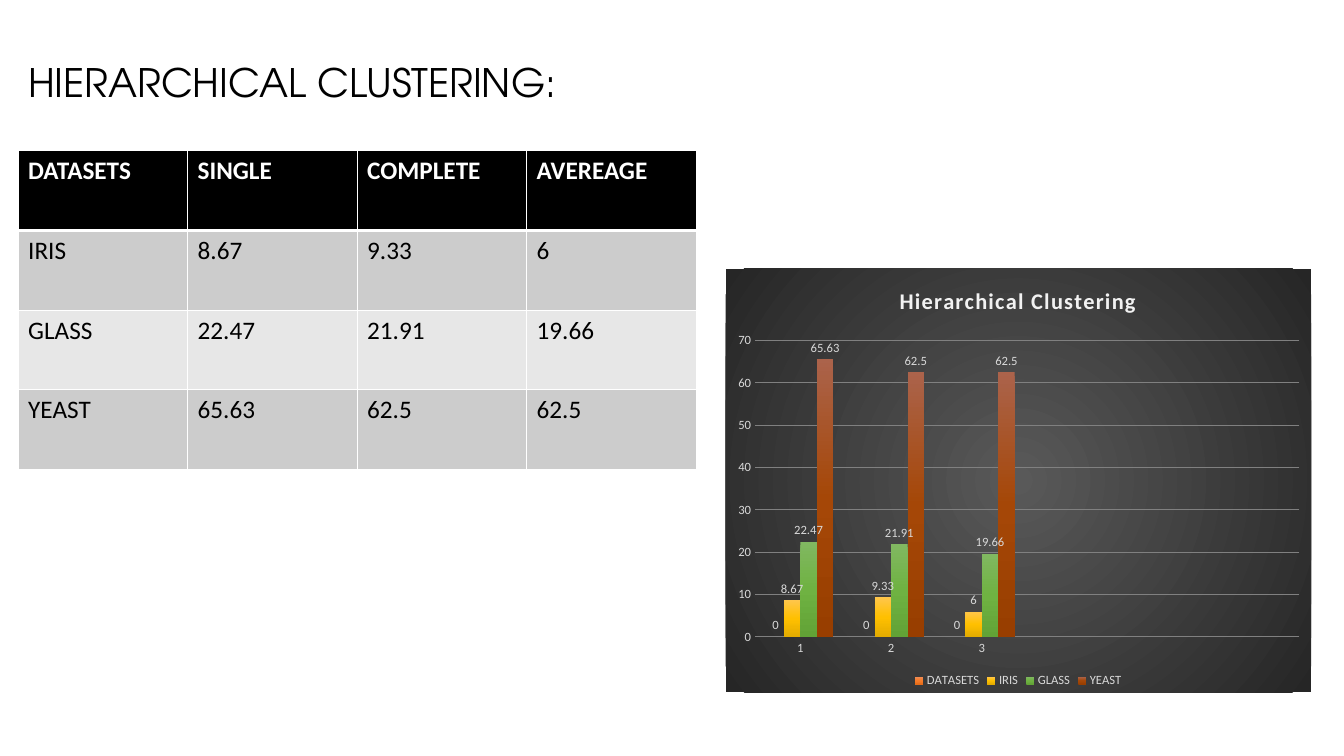
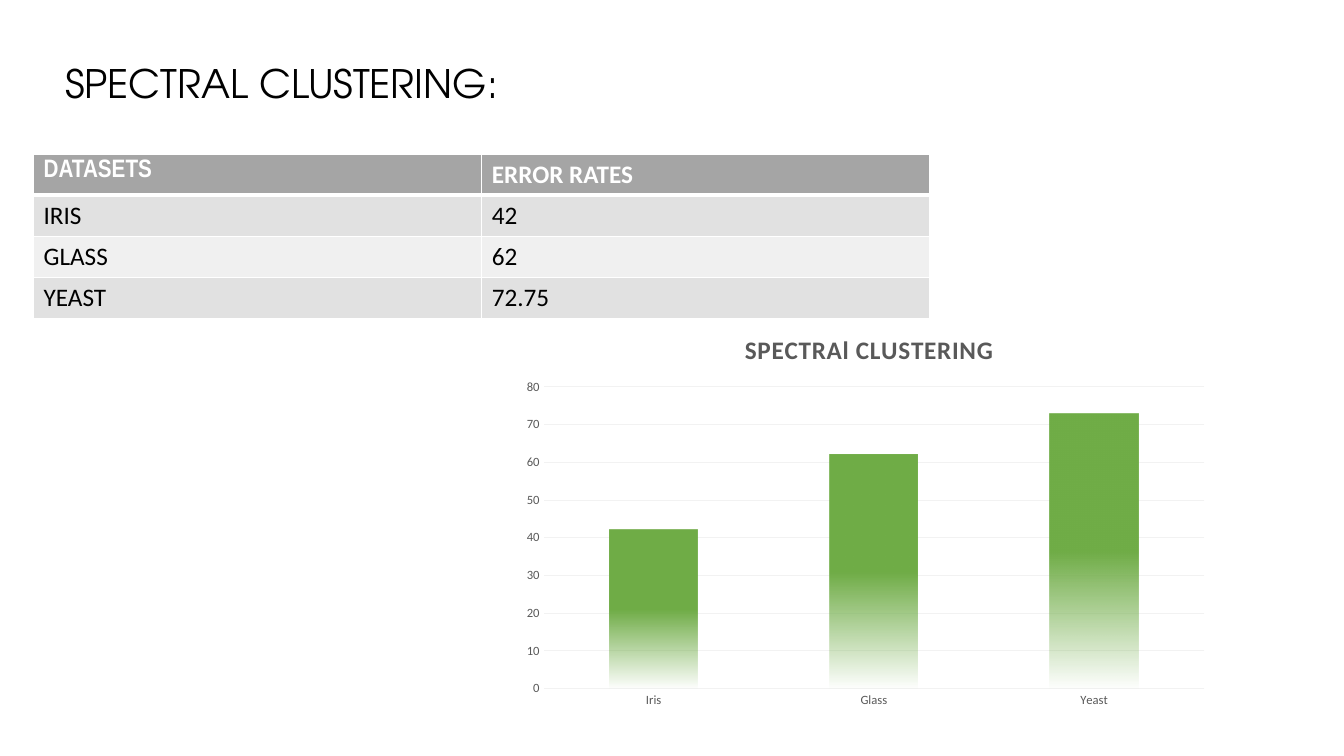
from dataclasses import dataclass

from pptx import Presentation
from pptx.chart.data import CategoryChartData
from pptx.dml.color import RGBColor
from pptx.enum.chart import (XL_CHART_TYPE, XL_LABEL_POSITION,
                             XL_LEGEND_POSITION, XL_TICK_MARK)
from pptx.oxml import parse_xml
from pptx.oxml.ns import nsdecls, qn
from pptx.util import Inches, Pt


@dataclass(frozen=True)
class Theme:
    title_font: str = "TeX Gyre Adventor"
    body_font: str = "Calibri"
    narrow_font: str = "Arial Narrow"
    title_size: float = 28
    table_size: float = 18
    axis_size: float = 9
    ink: str = "000000"
    paper: str = "FFFFFF"


@dataclass(frozen=True)
class Box:
    """A region in hundredths of the slide's width and height."""
    x: float
    y: float
    w: float
    h: float

    def place(self):
        col, row = SLIDE_W / 100, SLIDE_H / 100
        return (int(self.x * col), int(self.y * row),
                int(self.w * col), int(self.h * row))


@dataclass(frozen=True)
class TableLook:
    header: str
    bands: tuple
    first_font: str = "Calibri"


@dataclass(frozen=True)
class ChartLook:
    """Chart colours; plot and title positions are shares of the chart."""
    text: str
    grid: str
    title: str
    title_size: float
    spacing: int
    title_at: tuple
    plot_at: tuple
    backdrop: tuple = ()
    labelled: bool = False


THEME = Theme()
SLIDE_W, SLIDE_H = Inches(13.33), Inches(7.5)

DARK = ChartLook("D9D9D9", "808080", "F2F2F2", 16, 100, (0.29, 0.03),
                 (0.05, 0.17, 0.93, 0.7),
                 backdrop=((0, "595959"), (100, "262626")), labelled=True)
LIGHT = ChartLook("595959", "F2F2F2", "595959", 18, 50, (0.32, 0.02),
                  (0.04, 0.17, 0.94, 0.76))

DATASET_FILLS = (
    ((0, "F18C57"), (50, "F67B28"), (100, "E56C19")),
    ((0, "FFC64B"), (50, "FFC000"), (100, "E3AB00")),
    ((0, "81B861"), (50, "6FB242"), (100, "62A336")),
    ((0, "AB634B"), (50, "A54707"), (100, "983E00")),
)
GREEN_FADE = ((50, "70AD47"), (100, "70AD47", 0))


def style_font(font, size=THEME.axis_size, color=THEME.ink,
               name=THEME.body_font, bold=False):
    font.size, font.name, font.bold = Pt(size), name, bold
    font.color.rgb = RGBColor.from_string(color)


def write(tf, text, **fmt):
    r = tf.paragraphs[0].add_run()
    r.text = text
    style_font(r.font, **fmt)
    return r


def gradient(stops, radial=False):
    """Build a gradient fill from (percent, colour[, alpha percent]) stops."""
    marks = ""
    for pos, color, *alpha in stops:
        fade = "".join(f'<a:alpha val="{a * 1000}"/>' for a in alpha)
        marks += (f'<a:gs pos="{pos * 1000}"><a:srgbClr val="{color}">'
                  f'{fade}</a:srgbClr></a:gs>')
    if radial:
        shade = ('<a:path path="circle"><a:fillToRect l="50000" t="50000" '
                 'r="50000" b="50000"/></a:path>')
    else:
        shade = '<a:lin ang="5400000" scaled="0"/>'
    return parse_xml(f'<a:gradFill {nsdecls("a")} rotWithShape="1">'
                     f'<a:gsLst>{marks}</a:gsLst>{shade}</a:gradFill>')


def manual_layout(parent, index, at, inner=False):
    """Fix a chart part's position, and its size if at holds four shares."""
    for old in parent.findall(qn("c:layout")):
        parent.remove(old)
    target = '<c:layoutTarget val="inner"/>' if inner else ""
    modes = '<c:xMode val="edge"/><c:yMode val="edge"/>'
    values = "".join(f'<c:{k} val="{v}"/>' for k, v in zip("xywh", at))
    parent.insert(index, parse_xml(
        f'<c:layout {nsdecls("c")}><c:manualLayout>{target}{modes}{values}'
        '</c:manualLayout></c:layout>'))


def add_title(s, box, text):
    tf = s.shapes.add_textbox(*box.place()).text_frame
    tf.word_wrap = True
    write(tf, text, size=THEME.title_size, name=THEME.title_font)


def set_borders(cell, top, bottom):
    tcPr = cell._tc.get_or_add_tcPr()
    for side, width in (("L", 1), ("R", 1), ("T", top), ("B", bottom)):
        tcPr.append(parse_xml(
            f'<a:ln{side} {nsdecls("a")} w="{Pt(width)}"><a:solidFill>'
            f'<a:srgbClr val="{THEME.paper}"/></a:solidFill></a:ln{side}>'))


def add_data_table(s, box, rows, look):
    x, y, w, h = box.place()
    table = s.shapes.add_table(len(rows), len(rows[0]), x, y, w, h).table
    for col in table.columns:
        col.width = w // len(rows[0])
    for i, values in enumerate(rows):
        table.rows[i].height = h // len(rows)
        head = i == 0
        for j, value in enumerate(values):
            cell = table.cell(i, j)
            set_borders(cell, 3 if i == 1 else 1, 3 if head else 1)
            cell.fill.solid()
            cell.fill.fore_color.rgb = RGBColor.from_string(
                look.header if head else look.bands[(i - 1) % 2])
            write(cell.text_frame, value, size=THEME.table_size, bold=head,
                  color=THEME.paper if head else THEME.ink,
                  name=look.first_font if head and j == 0
                  else THEME.body_font)


def style_axes(chart, look):
    for axis in (chart.category_axis, chart.value_axis):
        axis.major_tick_mark = axis.minor_tick_mark = XL_TICK_MARK.NONE
        axis.format.line.fill.background()
        style_font(axis.tick_labels.font, color=look.text)
    line = chart.value_axis.major_gridlines.format.line
    line.width = Pt(0.75)
    line.color.rgb = RGBColor.from_string(look.grid)


def add_column_chart(s, box, title, cats, series, fills, look):
    data = CategoryChartData()
    data.categories = cats
    for name, values in series:
        data.add_series(name, values)
    chart = s.shapes.add_chart(XL_CHART_TYPE.COLUMN_CLUSTERED, *box.place(),
                               data).chart
    style_font(chart.font, size=10)
    style_axes(chart, look)

    r = write(chart.chart_title.text_frame, title, size=look.title_size,
              color=look.title, bold=True)
    r.font._element.set("spc", str(look.spacing))
    chart.chart_title.include_in_layout = False
    manual_layout(chart.chart_title._element, 1, look.title_at)
    manual_layout(chart._chartSpace.chart.plotArea, 0, look.plot_at, True)

    plot = chart.plots[0]
    plot.vary_by_categories = False
    plot.gap_width, plot.overlap = 150, 0
    for ser, stops in zip(plot.series, fills):
        ser.invert_if_negative = False
        ser.format.line.fill.background()
        ser._element.get_or_add_spPr().insert(0, gradient(stops))
        if look.labelled:
            labels = ser.data_labels
            labels.show_value = True
            labels.position = XL_LABEL_POSITION.OUTSIDE_END
            style_font(labels.font, color=look.text)

    chart.has_legend = look.labelled
    if look.labelled:
        chart.legend.position = XL_LEGEND_POSITION.BOTTOM
        chart.legend.include_in_layout = False
        style_font(chart.legend.font, color=look.text)
    if look.backdrop:
        spPr = parse_xml(f'<c:spPr {nsdecls("c", "a")}>'
                         '<a:ln><a:noFill/></a:ln></c:spPr>')
        spPr.insert(0, gradient(look.backdrop, radial=True))
        chart._chartSpace.chart.addnext(spPr)


def hierarchical_slide(s):
    rows = (("DATASETS", "SINGLE", "COMPLETE", "AVEREAGE"),
            ("IRIS", "8.67", "9.33", "6"),
            ("GLASS", "22.47", "21.91", "19.66"),
            ("YEAST", "65.63", "62.5", "62.5"))
    blanks = (None,) * 3
    series = [("DATASETS", (0, 0, 0) + blanks)]
    series += [(name, tuple(map(float, values)) + blanks)
               for name, *values in rows[1:]]
    add_data_table(s, Box(1.35, 19.93, 50.45, 42.2), rows,
                   TableLook("000000", ("CCCCCC", "E7E7E7")))
    add_column_chart(s, Box(54, 35.55, 43.55, 56), "Hierarchical Clustering",
                     ("1", "2", "3", "", "", ""), series, DATASET_FILLS, DARK)
    add_title(s, Box(1.35, 7.07, 49.65, 7.6), "HIERARCHICAL CLUSTERING:")


def spectral_slide(s):
    rows = (("DATASETS", "ERROR RATES"),
            ("IRIS", "42"), ("GLASS", "62"), ("YEAST", "72.75"))
    cats = [name.capitalize() for name, _ in rows[1:]]
    rates = [round(float(rate)) for _, rate in rows[1:]]
    add_data_table(s, Box(2.5, 20.4, 66.7, 21.7), rows,
                   TableLook("A5A5A5", ("E1E1E1", "F0F0F0"),
                             THEME.narrow_font))
    add_column_chart(s, Box(38.35, 42.25, 52.3, 52.53), "SPECTRAl CLUSTERING",
                     cats, [("Series 1", rates)], (GREEN_FADE,), LIGHT)
    add_title(s, Box(4.12, 7.2, 64.3, 7.6), "SPECTRAL CLUSTERING:")


def main():
    prs = Presentation()
    prs.slide_width, prs.slide_height = SLIDE_W, SLIDE_H
    for build in (hierarchical_slide, spectral_slide):
        build(prs.slides.add_slide(prs.slide_layouts[6]))
    prs.save("out.pptx")


if __name__ == "__main__":
    main()
